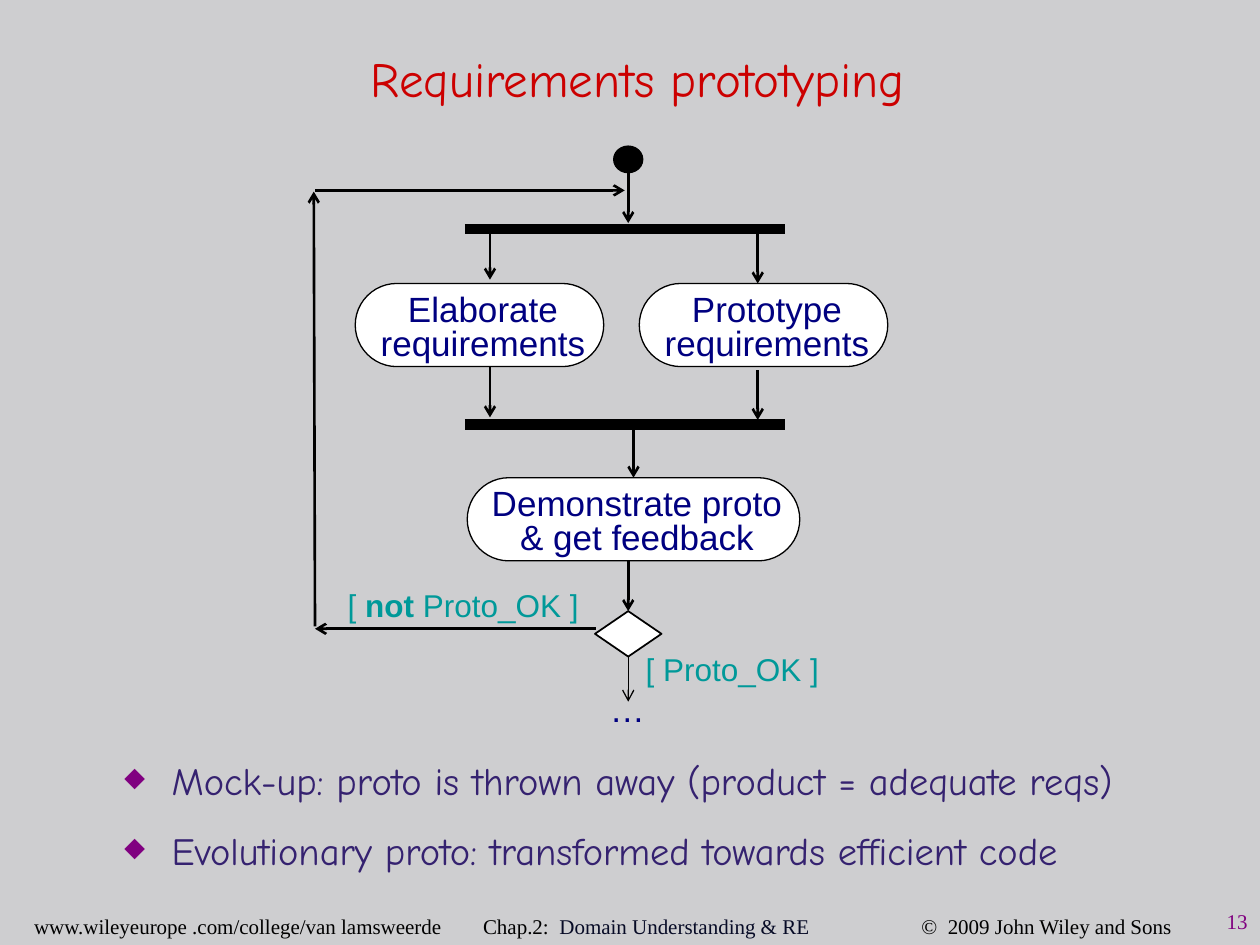
from dataclasses import dataclass
from typing import Optional

from lxml.etree import SubElement
from pptx import Presentation
from pptx.dml.color import RGBColor
from pptx.enum.shapes import MSO_CONNECTOR, MSO_SHAPE
from pptx.enum.text import MSO_ANCHOR, PP_ALIGN
from pptx.oxml.ns import qn
from pptx.util import Pt

COLORS = {
    "background": "CECED0", "title": "CC0000", "body": "352270",
    "purple": "800080", "label": "000080", "guard": "009999",
    "chapter": "070B26", "black": "000000", "white": "FFFFFF",
}
AXIS = 359
FORK_X, JOIN_X = 280, 433
BAR_LEFT, BAR_RIGHT = 265.7, 448.6
FORK_Y, JOIN_Y = 131, 242.6
LOOP_X, LOOP_TOP, LOOP_BOTTOM = 180, 108.8, 359.3


@dataclass
class Span:
    text: str
    size: float
    color: str
    font: str = "Arial"
    bold: bool = False


@dataclass
class Activity:
    left: float
    top: float
    width: float
    lines: tuple[str, str]


@dataclass
class Line:
    start: tuple[float, float]
    end: tuple[float, float]
    width: float = 1.5
    arrow: bool = True
    begin_join: Optional[tuple] = None
    end_join: Optional[tuple] = None


def rgb(name: str) -> RGBColor:
    return RGBColor.from_string(COLORS[name])


def add_spans(para, *spans: Span) -> None:
    for span in spans:
        run = para.add_run()
        run.text = span.text
        run.font.size = Pt(span.size)
        run.font.name = span.font
        run.font.bold = span.bold
        run.font.color.rgb = rgb(span.color)


def set_insets(frame, left: float, top: float, right: float, bottom: float) -> None:
    frame.margin_left, frame.margin_top = Pt(left), Pt(top)
    frame.margin_right, frame.margin_bottom = Pt(right), Pt(bottom)


def add_text_box(page, left: float, top: float, width: float, height: float,
                 spans: tuple = (), align=PP_ALIGN.CENTER,
                 insets: tuple = (7.2, 3.6, 7.2, 3.6), anchor=MSO_ANCHOR.TOP):
    box = page.shapes.add_textbox(Pt(left), Pt(top), Pt(width), Pt(height))
    frame = box.text_frame
    frame.word_wrap = True
    frame.vertical_anchor = anchor
    set_insets(frame, *insets)
    frame.paragraphs[0].alignment = align
    add_spans(frame.paragraphs[0], *spans)
    return frame


def add_shape(page, kind, left: float, top: float, width: float, height: float,
              fill: str = "white", line_width: float = 0.75):
    shape = page.shapes.add_shape(kind, Pt(left), Pt(top), Pt(width), Pt(height))
    shape.shadow.inherit = False
    shape.fill.solid()
    shape.fill.fore_color.rgb = rgb(fill)
    shape.line.color.rgb = rgb("black")
    shape.line.width = Pt(line_width)
    return shape


def add_activity(page, activity: Activity):
    shape = add_shape(page, MSO_SHAPE.ROUNDED_RECTANGLE,
                      activity.left, activity.top, activity.width, 47.5)
    shape.adjustments[0] = 0.5
    frame = shape.text_frame
    frame.word_wrap = False
    frame.vertical_anchor = MSO_ANCHOR.MIDDLE
    set_insets(frame, 4, 0, 0, 0)
    for index, text in enumerate(activity.lines):
        para = frame.add_paragraph() if index else frame.paragraphs[0]
        para.alignment = PP_ALIGN.CENTER
        if index:
            para.line_spacing = 0.8
        add_spans(para, Span(text, 20, "label"))
    return shape


def add_line(page, line: Line) -> None:
    connector = page.shapes.add_connector(
        MSO_CONNECTOR.STRAIGHT, *map(Pt, line.start + line.end))
    connector.line.color.rgb = rgb("black")
    connector.line.width = Pt(line.width)
    if line.arrow:
        SubElement(connector.line._get_or_add_ln(), qn("a:tailEnd"), type="arrow")
    SubElement(connector._element.spPr, qn("a:effectLst"))
    if line.begin_join:
        connector.begin_connect(*line.begin_join)
    if line.end_join:
        connector.end_connect(*line.end_join)


def add_bullet(para) -> None:
    properties = para._p.get_or_add_pPr()
    properties.set("marL", str(Pt(91)))
    properties.set("indent", str(Pt(-27)))
    color = SubElement(properties, qn("a:buClr"))
    SubElement(color, qn("a:srgbClr"), val=COLORS["purple"])
    SubElement(properties, qn("a:buSzPct"), val="70000")
    SubElement(properties, qn("a:buChar"), char="◆")


def add_tab_stops(para, *positions: float) -> None:
    tabs = SubElement(para._p.get_or_add_pPr(), qn("a:tabLst"))
    for position in positions:
        SubElement(tabs, qn("a:tab"), pos=str(Pt(position)), algn="l")


def draw_footer(page) -> None:
    serif = "Times New Roman"
    add_text_box(page, 661, 515.5, 59, 24.5, (Span("13", 12, "purple", serif),),
                 PP_ALIGN.RIGHT)
    frame = add_text_box(page, -54, 518.4, 796, 21.6, align=PP_ALIGN.LEFT,
                         insets=(73.5, 3.6, 7.2, 3.6))
    para = frame.paragraphs[0]
    add_tab_stops(para, 256.5, 507)
    add_spans(
        para,
        Span("www.wileyeurope .com/college/van lamsweerde\tChap.2:  ", 12, "black", serif),
        Span("Domain Understanding & RE\t", 12, "chapter", serif),
        Span("©  2009 John Wiley and Sons", 12, "black", serif))


def draw_bullets(page) -> None:
    frame = add_text_box(page, 0, 429, 706, 74, align=PP_ALIGN.LEFT,
                         anchor=MSO_ANCHOR.MIDDLE)
    texts = ("Mock-up: proto is thrown away (product = adequate reqs)",
             "Evolutionary proto: transformed towards efficient code")
    for index, text in enumerate(texts):
        para = frame.add_paragraph() if index else frame.paragraphs[0]
        add_bullet(para)
        if index:
            para.line_spacing = 1.1
            para.space_before = Pt(11)
        add_spans(para, Span(text, 22, "body", "Comic Neue"))


def draw_activity_diagram(page) -> None:
    add_activity(page, Activity(203, 162, 142, ("Elaborate", "requirements")))
    add_activity(page, Activity(365.3, 162, 142, ("Prototype", "requirements")))
    demonstrate = add_activity(
        page, Activity(267, 273, 190, ("Demonstrate proto", "& get feedback")))
    add_shape(page, MSO_SHAPE.OVAL, AXIS - 8.3, 83.5, 16.6, 15.2, "black")
    decision = add_shape(page, MSO_SHAPE.FLOWCHART_DECISION,
                         AXIS - 19, 349.2, 38, 26, line_width=1)

    for line in (
        Line((BAR_LEFT, FORK_Y), (BAR_RIGHT, FORK_Y), 6, arrow=False),
        Line((BAR_LEFT, JOIN_Y), (BAR_RIGHT, JOIN_Y), 6, arrow=False),
        Line((AXIS, 91.4), (AXIS, 127.5)),
        Line((FORK_X, FORK_Y), (FORK_X, 159.8)),
        Line((JOIN_X, 133.2), (JOIN_X, 162)),
        Line((FORK_X, 210), (FORK_X, 238.5)),
        Line((JOIN_X, 211.5), (JOIN_X, 240)),
        Line((362, JOIN_Y), (362, 273), end_join=(demonstrate, 0)),
        Line((AXIS, 320.5), (AXIS, 349.2), end_join=(decision, 0)),
        Line((AXIS, 375.2), (AXIS, 401), 0.75, begin_join=(decision, 2)),
        Line((340.5, LOOP_BOTTOM), (LOOP_X, LOOP_BOTTOM)),
        Line((LOOP_X, 358), (179.3, 109.5)),
        Line((LOOP_X, LOOP_TOP), (357, LOOP_TOP)),
    ):
        add_line(page, line)

    insets = (1.5, 0.7, 1.5, 0.7)
    add_text_box(page, 353.5, 371, 130, 31.7,
                 (Span("[ Proto_OK ]", 18, "guard"),), insets=insets)
    add_text_box(page, 187.2, 334, 155, 31.7,
                 (Span("[ ", 18, "guard"), Span("not", 18, "guard", bold=True),
                  Span(" Proto_OK ]", 18, "guard")), insets=insets)
    add_text_box(page, 320.4, 392.4, 76.3, 26.6,
                 (Span("…", 20, "label"),), insets=insets)


def main() -> None:
    deck = Presentation()
    deck.slide_width, deck.slide_height = Pt(720), Pt(540)
    page = deck.slides.add_slide(deck.slide_layouts[6])
    page.background.fill.solid()
    page.background.fill.fore_color.rgb = rgb("background")
    draw_footer(page)
    add_text_box(page, 24, 14.4, 681, 60,
                 (Span("Requirements prototyping", 28, "title", "Comic Neue"),),
                 anchor=MSO_ANCHOR.MIDDLE)
    draw_bullets(page)
    draw_activity_diagram(page)
    deck.save("out.pptx")


if __name__ == "__main__":
    main()
